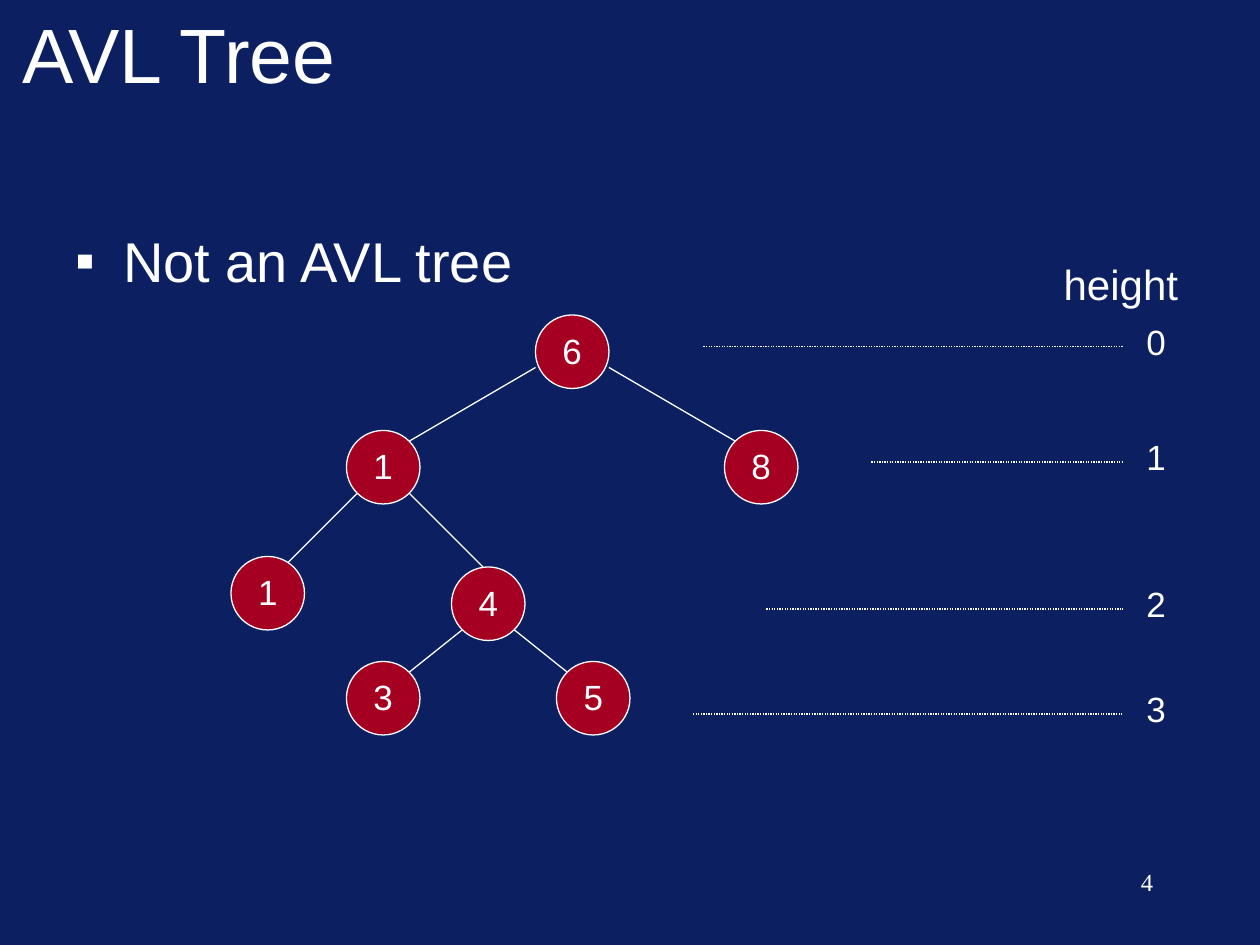
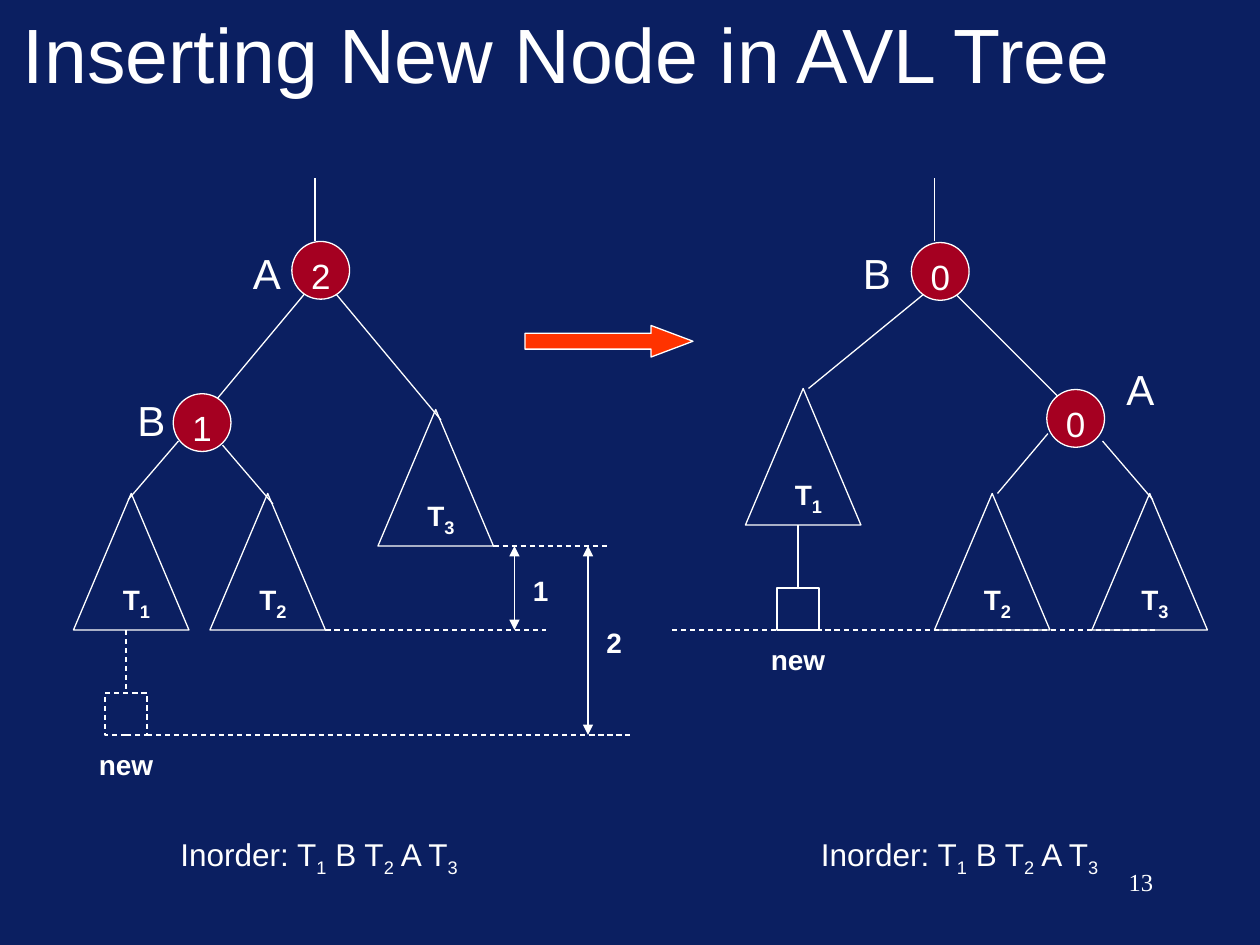
from lxml import etree
from pptx import Presentation
from pptx.dml import color
from pptx.enum import dml, shapes, text
from pptx.oxml import ns
from pptx.util import Emu, Inches, Pt

CELL = Inches(1) / 12
COLS, ROWS = 120, 90
NAVY, RED, FLAME, WHITE = "0B1F61", "A50021", "FF3300", "FFFFFF"
SANS, SERIF = "Arial", "Times New Roman"
LEFT, MID, RIGHT = text.PP_ALIGN.LEFT, text.PP_ALIGN.CENTER, text.PP_ALIGN.RIGHT
DASH, DOT = dml.MSO_LINE.DASH, dml.MSO_LINE.ROUND_DOT
KIND = shapes.MSO_SHAPE


def hue(code):
    return color.RGBColor.from_string(code)


def cells(*counts):
    return [Emu(round(count * CELL)) for count in counts]


def child(parent, tag, **attrs):
    return etree.SubElement(parent, ns.qn(tag), attrs)


def stroke(item, dash=None):
    item.line.color.rgb = hue(WHITE)
    item.line.width = Pt(0.75)
    if dash:
        item.line.dash_style = dash


def fill_runs(para, words):
    first, *parts = words.split("_")
    para.add_run().text = first
    for part in parts:
        sub = para.add_run()
        sub.text = part[0]
        sub.font.size = Pt(18)
        sub.font._element.set("baseline", "-25000")
        if part[1:]:
            para.add_run().text = part[1:]


def label(slide, box, words, size, align=MID, bold=False, wrap=True,
          face=SANS, bullet=None, pitch=None, anchor=text.MSO_ANCHOR.TOP):
    frame = slide.shapes.add_textbox(*cells(*box)).text_frame
    frame.word_wrap = wrap
    frame.vertical_anchor = anchor
    para = frame.paragraphs[0]
    para.alignment = align
    if pitch:
        para.line_spacing = pitch
    if bullet:
        props = para._p.get_or_add_pPr()
        props.set("marL", str(Inches(0.38)))
        props.set("indent", str(-Inches(0.38)))
        tint = child(props, "a:buClr")
        child(tint, "a:srgbClr", val=WHITE)
        child(props, "a:buFont", typeface=SANS)
        child(props, "a:buChar", char=bullet)
    font = para.font
    font.size, font.name, font.bold = Pt(size), face, bold
    font.color.rgb = hue(WHITE)
    fill_runs(para, words)


def form(slide, kind, box, fill=None, dash=None):
    item = slide.shapes.add_shape(kind, *cells(*box))
    item.shadow.inherit = False
    if fill:
        item.fill.solid()
        item.fill.fore_color.rgb = hue(fill)
    else:
        item.fill.background()
    stroke(item, dash)
    return item


def line(slide, ends, dash=None, heads=False):
    link = slide.shapes.add_connector(shapes.MSO_CONNECTOR.STRAIGHT, *cells(*ends))
    stroke(link, dash)
    child(link._element.spPr, "a:effectLst")
    if heads:
        edge = link.line._get_or_add_ln()
        child(edge, "a:headEnd", type="triangle")
        child(edge, "a:tailEnd", type="triangle")


def node(slide, x, y, size, words):
    form(slide, KIND.OVAL, (x, y, size, size), RED)
    label(slide, (x + size / 2 - 4, y + size * 0.11, 8, 5.3), words, 20)


def subtree(slide, x, y, num):
    label(slide, (x + 2, y + 7.6, 8, 5.3), f"T_{num}", 16, bold=True)
    form(slide, KIND.ISOSCELES_TRIANGLE, (x, y, 11, 13))


def new_box(slide, x, y, dash=None):
    line(slide, (x + 2, y - 6, x + 2, y), dash)
    form(slide, KIND.RECTANGLE, (x, y, 4, 4), dash=dash)
    label(slide, (x - 2, y + 4.6, 8, 4.4), "new", 16, bold=True)


def span(slide, x, top, low, words, y):
    line(slide, (x, top, x, low), heads=True)
    label(slide, (x, y, 5, 4.4), words, 16, bold=True)


def start(deck, title, page):
    slide = deck.slides.add_slide(deck.slide_layouts[6])
    slide.background.fill.solid()
    slide.background.fill.fore_color.rgb = hue(NAVY)
    label(slide, (1, -1, 108, 12), title, 44, LEFT, anchor=text.MSO_ANCHOR.MIDDLE)
    label(slide, (86, 82, 25, 6), page, 14, RIGHT, face=SERIF)
    return slide


def draw_avl(deck):
    slide = start(deck, "AVL Tree", "4")
    label(slide, (6, 21, 108, 8), "Not an AVL tree", 32, LEFT, bullet="▪")
    for ends in [(58, 35, 70, 42), (51, 35, 39, 42), (34, 47, 27, 54),
                 (39, 47, 46, 54), (44, 60, 39, 64), (49, 60, 54, 64)]:
        line(slide, ends)
    for x, y, key in [(51, 30, "6"), (69, 41, "8"), (33, 41, "1"), (43, 54, "4"),
                      (33, 63, "3"), (22, 53, "1"), (53, 63, "5")]:
        node(slide, x, y, 7, key)
    label(slide, (100.1, 24, 13.3, 6), "height", 24, wrap=False)
    for level, (x, y) in enumerate([(67, 33), (83, 44), (73, 58), (66, 68)]):
        line(slide, (x, y, 107, y), DOT)
        label(slide, (108, y - 3.1, 4.2, 5.3), str(level), 20, wrap=False)


def draw_insert(deck):
    slide = start(deck, "Inserting New Node in AVL Tree", "13")
    for ends in [(30, 23, 30, 17), (29, 28, 19, 40), (32, 28, 42, 40),
                 (21.2, 42.4, 26, 48), (17, 42, 12.2, 47.6),
                 (89, 23, 89, 17), (88, 28, 77, 37), (91, 28, 101, 38),
                 (105, 42, 109.8, 47.6), (99.8, 41.3, 95, 47)]:
        line(slide, ends)
    for ends in [(47, 52, 58, 52), (31, 60, 52, 60), (14, 70, 60, 70),
                 (64, 60, 110, 60)]:
        line(slide, ends, DASH)
    for x, y, key in [(27.8, 23, "2"), (16.5, 37.5, "1"),
                      (86.8, 23.1, "0"), (99.7, 37.1, "0")]:
        node(slide, x, y, 5.5, key)
    for x, y, name in [(22.9, 23, "A"), (11.9, 37, "B"), (81, 23, "B"), (106.1, 34, "A")]:
        label(slide, (x, y, 5, 6), name, 24, wrap=False)
    for x, y, num in [(7, 47, 1), (20, 47, 2), (36, 39, 3),
                      (71, 37, 1), (89, 47, 2), (104, 47, 3)]:
        subtree(slide, x, y, num)
    new_box(slide, 10, 66, DASH)
    new_box(slide, 74, 56)
    span(slide, 49, 52, 60, "1", 54)
    span(slide, 56, 52, 70, "2", 59)
    arrow = form(slide, KIND.RIGHT_ARROW, (50, 31, 16, 3), FLAME)
    arrow.adjustments[1] = 1.33
    for x in (16, 77):
        label(slide, (x, 79, 32, 5), "Inorder: T_1 B T_2 A T_3", 18, LEFT, pitch=0.9)


def main():
    deck = Presentation()
    deck.slide_width, deck.slide_height = cells(COLS, ROWS)
    draw_avl(deck)
    draw_insert(deck)
    deck.save("out.pptx")


if __name__ == "__main__":
    main()
